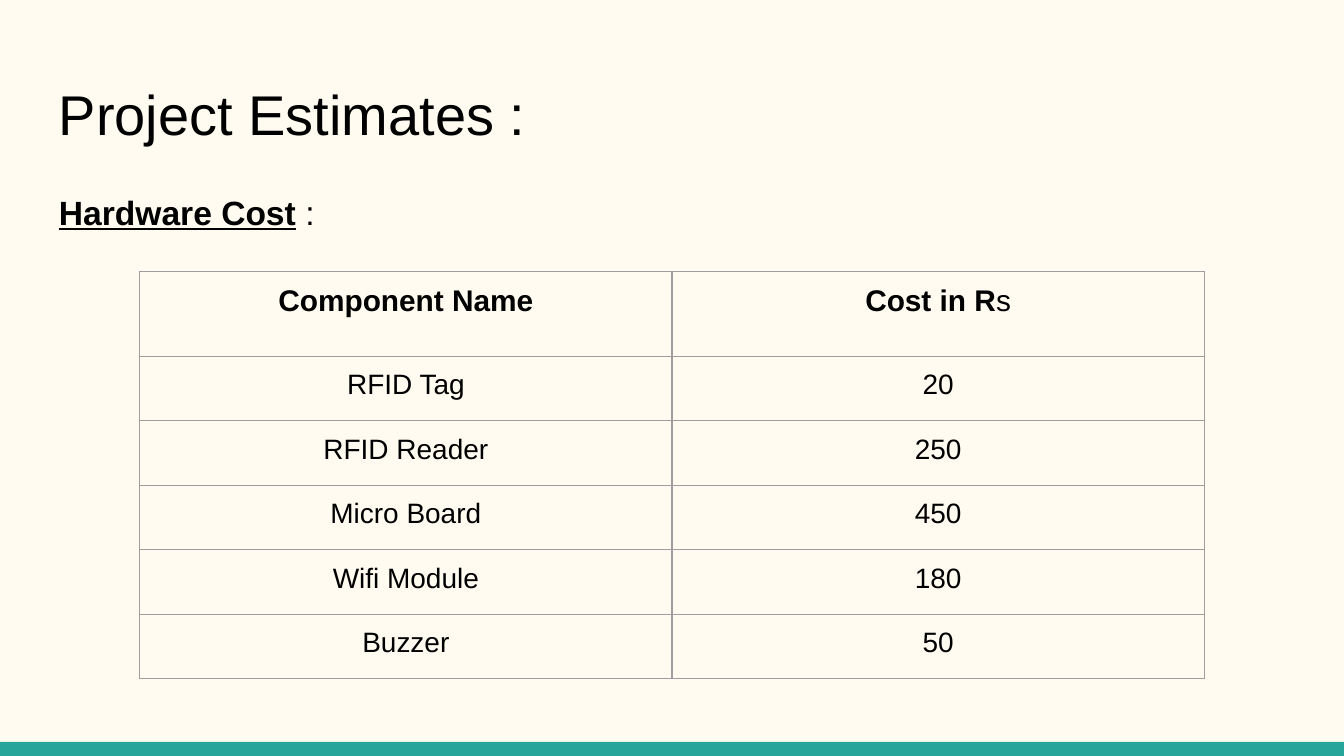
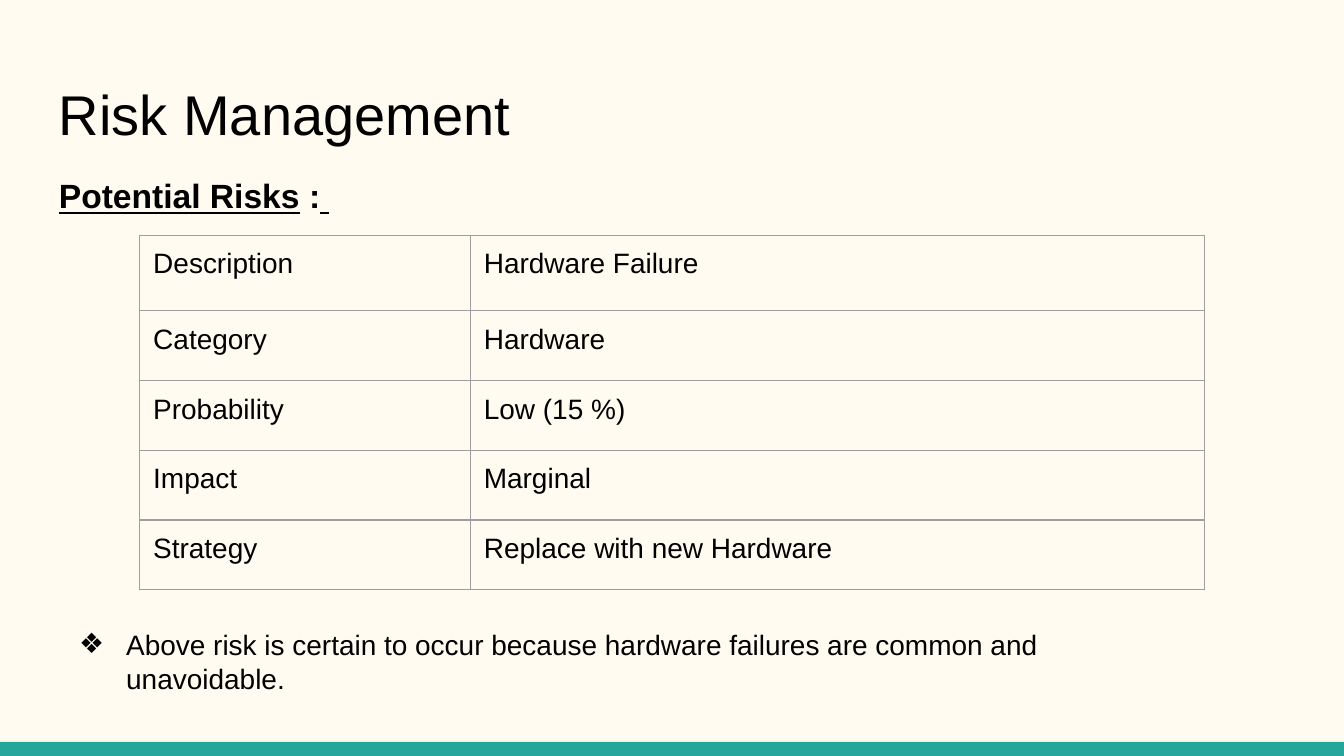
from pptx import Presentation
from pptx.dml.color import RGBColor
from pptx.enum import shapes, text
from pptx.oxml import parse_xml
from pptx.oxml.ns import nsdecls
from pptx.util import Inches, Pt

PAPER, TEAL, BLACK, GREY = "FFFBF0", "26A69A", "000000", "9E9E9E"
FONT = "Arial"
WIDE = 10
HIGH = WIDE * 9 / 16
LEFT, SPAN = 0.34, 9.32
PAD = 0.1


def color(code):
    return RGBColor.from_string(code)


def write(para, runs, size, bold=False, align=None):
    para.font.name = FONT
    para.font.size = Pt(size)
    para.font.bold = bold
    para.font.color.rgb = color(BLACK)
    para.alignment = align
    for words, style in runs:
        run = para.add_run()
        run.text = words
        for key, value in style.items():
            setattr(run.font, key, value)


def add_text(slide, box, runs, size, bold=False):
    frame = slide.shapes.add_textbox(*map(Inches, box)).text_frame
    frame.word_wrap = True
    frame.margin_left = frame.margin_right = Inches(PAD)
    frame.margin_top = frame.margin_bottom = Inches(PAD)
    para = frame.paragraphs[0]
    write(para, runs, size, bold)
    return para


def add_base(deck, title):
    slide = deck.slides.add_slide(deck.slide_layouts[6])
    back = slide.background.fill
    back.solid()
    back.fore_color.rgb = color(PAPER)
    band = slide.shapes.add_shape(
        shapes.MSO_SHAPE.RECTANGLE,
        *map(Inches, (0, 5.52, WIDE, 0.11)))
    band.shadow.inherit = False
    band.fill.solid()
    band.fill.fore_color.rgb = color(TEAL)
    band.line.fill.background()
    add_text(slide, (LEFT, 0.49, SPAN, 0.67), [(title, {})], 30)
    return slide


def add_head(slide, top, high, runs):
    para = add_text(slide, (LEFT, top, SPAN, high), runs, 18, True)
    para.line_spacing = 1.15


def add_edges(cell):
    props = cell._tc.get_or_add_tcPr()
    for spot, side in enumerate("LRTB"):
        props.insert(spot, parse_xml(
            f'<a:ln{side} {nsdecls("a")} w="{Pt(0.75)}"><a:solidFill>'
            f'<a:srgbClr val="{GREY}"/></a:solidFill></a:ln{side}>'))


def add_grid(slide, left, top, cols, rows, data, align=None, head=False):
    grid = slide.shapes.add_table(
        len(rows), len(cols),
        *map(Inches, (left, top, sum(cols), sum(rows)))).table
    grid.first_row = grid.horz_banding = False
    for col, width in zip(grid.columns, cols):
        col.width = Inches(width)
    for num, (row, high, line) in enumerate(zip(grid.rows, rows, data)):
        row.height = Inches(high)
        top_row = head and num == 0
        for cell, item in zip(row.cells, line):
            cell.margin_left = cell.margin_right = Inches(PAD)
            cell.margin_top = cell.margin_bottom = Inches(PAD)
            cell.fill.background()
            add_edges(cell)
            runs = [(item, {})] if isinstance(item, str) else item
            write(cell.text_frame.paragraphs[0], runs,
                  16 if top_row else 15, top_row, align)


def add_point(slide, box, words):
    size = 15
    para = add_text(slide, box, [(words, {})], size)
    props = para._p.get_or_add_pPr()
    props.set("marL", str(Inches(0.5)))
    props.set("indent", str(Inches(-0.35)))
    space = nsdecls("a")
    marks = (f'<a:buClr {space}><a:srgbClr val="{BLACK}"/></a:buClr>',
             f'<a:buSzPts {space} val="{size * 100}"/>',
             f'<a:buFont {space} typeface="{FONT}"/>',
             f'<a:buChar {space} char="❖"/>')
    for spot, mark in enumerate(marks):
        props.insert(spot, parse_xml(mark))


def add_costs(deck):
    slide = add_base(deck, "Project Estimates :")
    add_head(slide, 1.28, 3.72, [
        ("Hardware Cost", {"underline": True}), (" :", {"bold": False})])
    data = [
        ("Component Name", [("Cost in R", {}), ("s", {"bold": False})]),
        ("RFID Tag", "20"),
        ("RFID Reader", "250"),
        ("Micro Board", "450"),
        ("Wifi Module", "180"),
        ("Buzzer", "50"),
    ]
    add_grid(slide, 1.04, 2.02, [3.96] * 2, [0.63] + [0.48] * 5, data,
             text.PP_ALIGN.CENTER, True)


def add_risks(deck):
    slide = add_base(deck, "Risk Management")
    add_head(slide, 1.16, 4.04, [
        ("Potential Risks", {"underline": True}), (" :", {}),
        (" ", {"underline": True})])
    data = [
        ("Description", "Hardware Failure"),
        ("Category", "Hardware"),
        ("Probability", "Low (15 %)"),
        ("Impact", "Marginal"),
        ("Strategy", "Replace with new Hardware"),
    ]
    add_grid(slide, 1.04, 1.75, [2.46, 5.46], [0.56] + [0.52] * 4, data)
    add_point(slide, (LEFT, 4.57, 8.51, 0.62),
              "Above risk is certain to occur because hardware failures "
              "are common and unavoidable.")


def main():
    deck = Presentation()
    deck.slide_width = Inches(WIDE)
    deck.slide_height = Inches(HIGH)
    add_costs(deck)
    add_risks(deck)
    deck.save("out.pptx")


if __name__ == "__main__":
    main()
